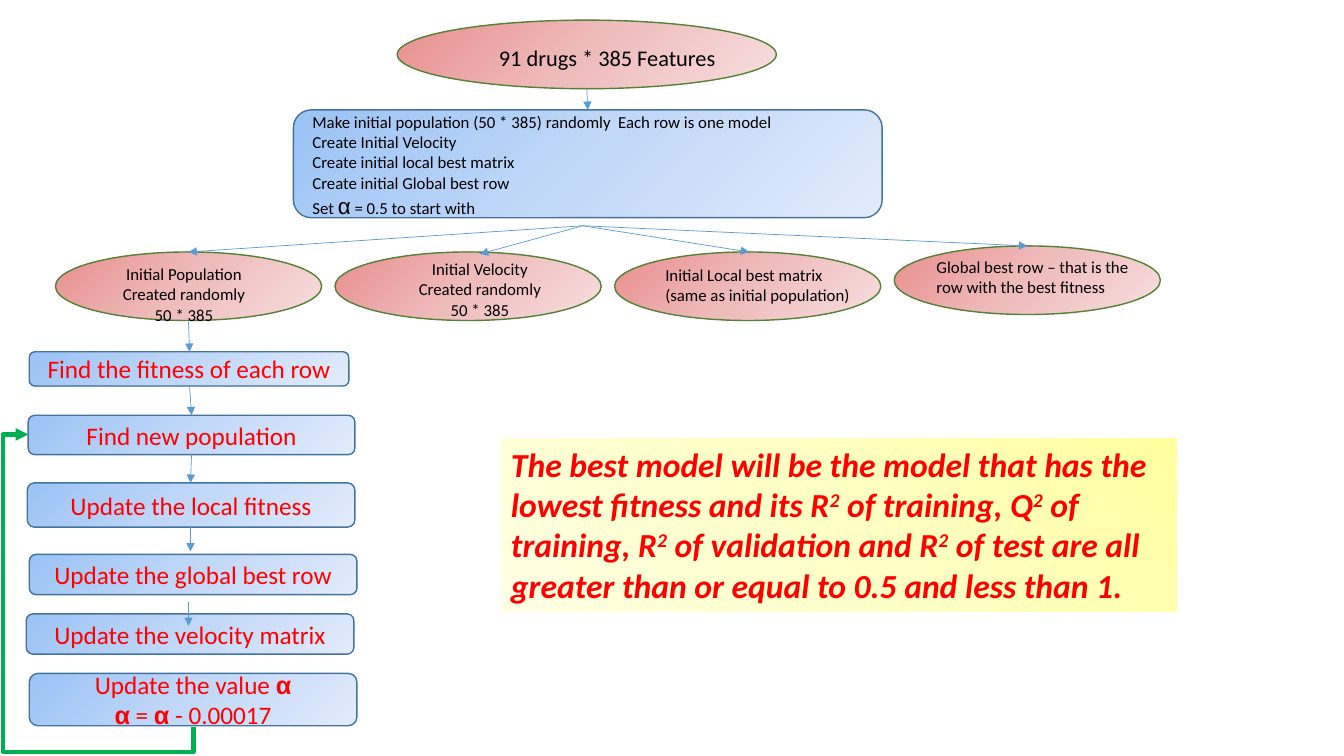
"""Build the slide on choosing a model from 91 drugs and 385 features."""
from dataclasses import dataclass

from lxml import etree
from pptx import Presentation
from pptx import util as u
from pptx.dml.color import RGBColor
from pptx.enum import shapes, text
from pptx.oxml import parse_xml
from pptx.oxml.ns import nsdecls, qn

KIND = shapes.MSO_SHAPE
LINK = shapes.MSO_CONNECTOR
LEFT, MID = text.PP_ALIGN.LEFT, text.PP_ALIGN.CENTER


@dataclass(frozen=True)
class Theme:
    font: str = "Calibri"
    greek: str = "Arial"
    black: str = "000000"
    red: str = "FF0000"
    arrow: str = "5B9BD5"
    loop: str = "00B050"
    blue_edge: str = "43739E"
    green_edge: str = "548235"
    blue: tuple = ("9AC3F5", "C2D8F8", "E1EBFB")
    pink: tuple = ("E98F8F", "EFBCBC", "F7DEDE")
    yellow: tuple = ("FFFFA0", "FFFFC5", "FFFFE3")
    small: int = 12
    title: int = 16
    step: int = 18
    big: int = 24


T = Theme()


def shade(shape, tones, focus):
    stops = "".join(
        f'<a:gs pos="{pos}"><a:srgbClr val="{tone}"/></a:gs>'
        for pos, tone in zip((0, 50000, 100000), tones))
    shape.fill.gradient()
    props = shape._element.spPr
    props.replace(props.find(qn("a:gradFill")), parse_xml(
        f'<a:gradFill {nsdecls("a")} rotWithShape="1"><a:gsLst>{stops}</a:gsLst>'
        f'<a:path path="circle"><a:fillToRect {focus}/></a:path></a:gradFill>'))


def write(frame, lines, size, color, align=LEFT, strong=False, greek=None):
    """Fill a frame; "|" parts the runs, and "α" and "²" get their own style."""
    for num, line in enumerate(lines):
        para = frame.add_paragraph() if num else frame.paragraphs[0]
        para.alignment = align
        font = para.font
        font.name, font.size = T.font, u.Pt(size)
        font.bold = font.italic = strong
        font.color.rgb = RGBColor.from_string(color)
        for part in line.split("|"):
            run = para.add_run()
            run.text = "2" if part == "²" else part
            if part == "²":
                run.font._element.set("baseline", "30000")
            elif part == "α":
                run.font.name = T.greek
                run.font.size, run.font.bold = u.Pt(greek[0]), greek[1]


def block(slide, kind, box, tones, edge=None, focus='r="100000" b="100000"'):
    shape = slide.shapes.add_shape(kind, *map(u.Inches, box))
    shape.shadow.inherit = False
    shade(shape, tones, focus)
    if edge:
        shape.line.color.rgb = RGBColor.from_string(edge)
        shape.line.width = u.Pt(1)
    else:
        shape.line.fill.background()
    return shape


def oval(slide, box):
    block(slide, KIND.OVAL, box, T.pink, T.green_edge)


def panel(slide, box):
    return block(slide, KIND.ROUNDED_RECTANGLE, box, T.blue, T.blue_edge)


def label(slide, box, lines, size=T.small, align=LEFT, wrap=True):
    frame = slide.shapes.add_textbox(*map(u.Inches, box)).text_frame
    frame.word_wrap = wrap
    frame.auto_size = text.MSO_AUTO_SIZE.SHAPE_TO_FIT_TEXT
    write(frame, lines, size, T.black, align, greek=(T.title, False))


def step(slide, box, lines):
    frame = panel(slide, box).text_frame
    frame.word_wrap = True
    frame.vertical_anchor = text.MSO_ANCHOR.MIDDLE
    write(frame, lines, T.step, T.red, MID, greek=(T.step, True))


def arrow(slide, start, end, color=T.arrow, width=0.5, kind=LINK.STRAIGHT):
    link = slide.shapes.add_connector(kind, *map(u.Inches, (*start, *end)))
    link.line.color.rgb = RGBColor.from_string(color)
    link.line.width = u.Pt(width)
    etree.SubElement(link.line._get_or_add_ln(), qn("a:tailEnd"), type="triangle")
    etree.SubElement(link._element.spPr, qn("a:effectLst"))
    return link


def loop(slide):
    """Lead from the last step round the left edge back to the second."""
    link = arrow(slide, (2.55, 4.94), (-0.35, 6.58), T.loop, 3, LINK.ELBOW)
    props = link._element.spPr
    props.find(qn("a:xfrm")).set("rot", "5400000")
    shape = props.find(qn("a:prstGeom"))
    shape.set("prst", "bentConnector4")
    guides = shape.find(qn("a:avLst"))
    for name, value in (("adj1", -8600), ("adj2", 115300)):
        etree.SubElement(guides, qn("a:gd"), name=name, fmla=f"val {value}")


def verdict(slide):
    shape = block(slide, KIND.RECTANGLE, (4.97, 4.35, 6.7, 1.72), T.yellow,
                  focus='l="100000" b="100000"')
    frame = shape.text_frame
    frame.word_wrap = True
    frame.vertical_anchor = text.MSO_ANCHOR.TOP
    write(frame, [
        "The best model will be the model that has the lowest fitness and its R"
        "|²| of training, Q|²| of training, R|²| of validation and R|²| of test "
        "are all greater than or equal to 0.5 and less than 1."],
        T.big, T.red, strong=True)


def start(slide):
    oval(slide, (3.94, 0.2, 3.76, 0.68))
    label(slide, (4.85, 0.39, 2.38, 0.37), ["91 drugs * 385 Features"],
          T.title, wrap=False)
    panel(slide, (2.91, 1.09, 5.84, 1.07))
    label(slide, (3, 1.06, 5.55, 1.18), [
        "Make initial population (50 * 385) randomly  Each row is one model",
        "Create Initial Velocity",
        "Create initial local best matrix",
        "Create initial Global best row",
        "Set |α| = 0.5 to start with"])
    arrow(slide, (5.82, 0.88), (5.83, 1.09))


def branch(slide):
    made = ["Created randomly", "50 * 385"]
    parts = (
        (2.5, (1.87, 2.5), (0.83, 2.57, 1.99, 0.71),
         ["Initial Population", *made], MID, True),
        (2.5, (4.76, 2.52), (4.05, 2.52, 1.42, 0.71),
         ["Initial Velocity", *made], MID, False),
        (2.5, (7.43, 2.5), (6.5, 2.58, 2.05, 0.5),
         ["Initial Local best matrix", "(same as initial population)"], LEFT, False),
        (2.44, (10.19, 2.44), (9.19, 2.5, 2.14, 0.5),
         ["Global best row – that is the row with the best fitness"], LEFT, True),
    )
    for num, (top, tip, box, lines, align, wrap) in enumerate(parts):
        oval(slide, (0.55 + 2.773 * num, top, 2.64, 0.68))
        label(slide, box, lines, align=align, wrap=wrap)
        arrow(slide, (5.78, 2.24), tip)


def cycle(slide):
    loop(slide)
    steps = (
        ((0.29, 3.49, 3.17, 0.34), ["Find the fitness of each row"]),
        ((0.28, 4.12, 3.24, 0.39), ["Find new population"]),
        ((0.27, 4.79, 3.25, 0.44), ["Update the local fitness"]),
        ((0.29, 5.5, 3.25, 0.4), ["Update the global best row"]),
        ((0.26, 6.09, 3.25, 0.4), ["Update the velocity matrix"]),
        ((0.29, 6.68, 3.25, 0.52), ["Update the value |α", "α| = |α| - 0.00017"]),
    )
    for box, lines in steps:
        step(slide, box, lines)
    for tail, head in (
            ((1.87, 3.19), (1.88, 3.49)), ((1.88, 3.83), (1.9, 4.12)),
            ((1.9, 4.5), (1.89, 4.79)), ((1.89, 5.23), (1.89, 5.47)),
            ((1.87, 5.97), (1.87, 6.21))):
        arrow(slide, tail, head)


def main():
    deck = Presentation()
    deck.slide_width, deck.slide_height = u.Inches(13.33), u.Inches(7.5)
    slide = deck.slides.add_slide(deck.slide_layouts[6])
    for draw in (verdict, start, branch, cycle):
        draw(slide)
    deck.save("out.pptx")


if __name__ == "__main__":
    main()
